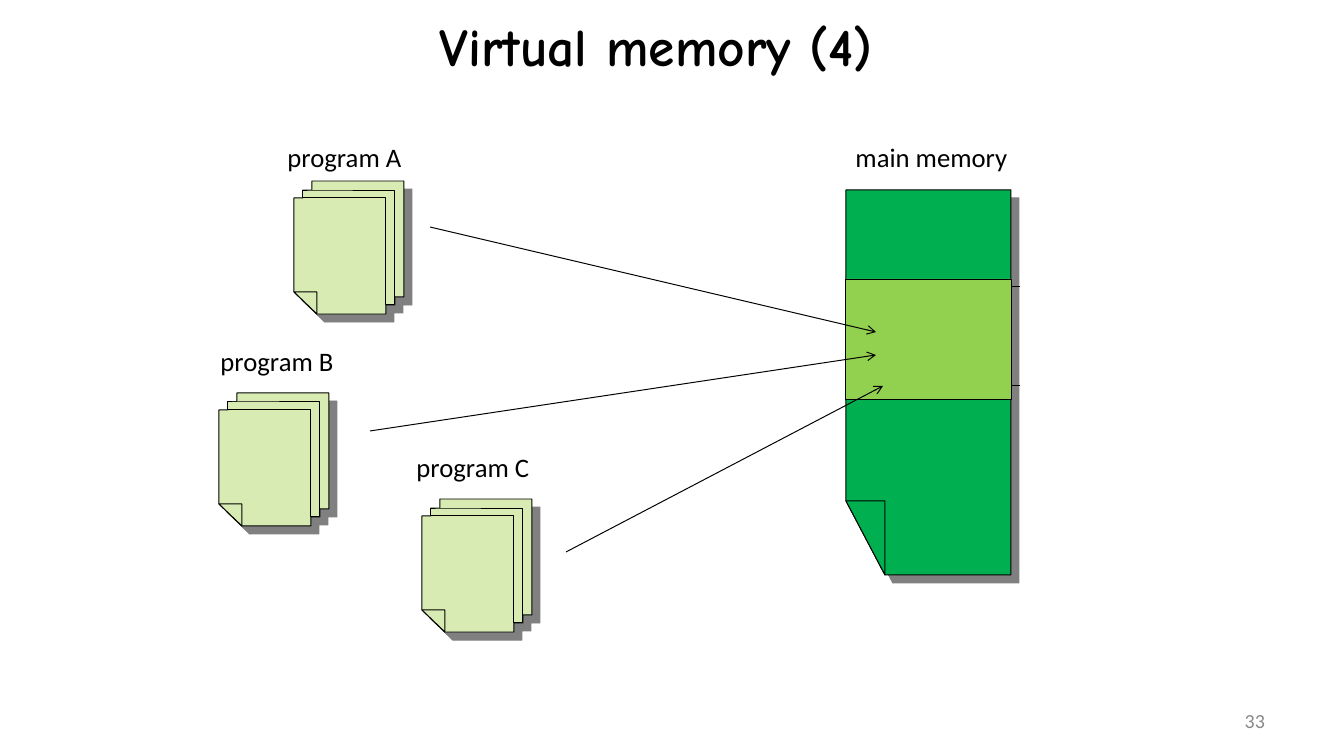
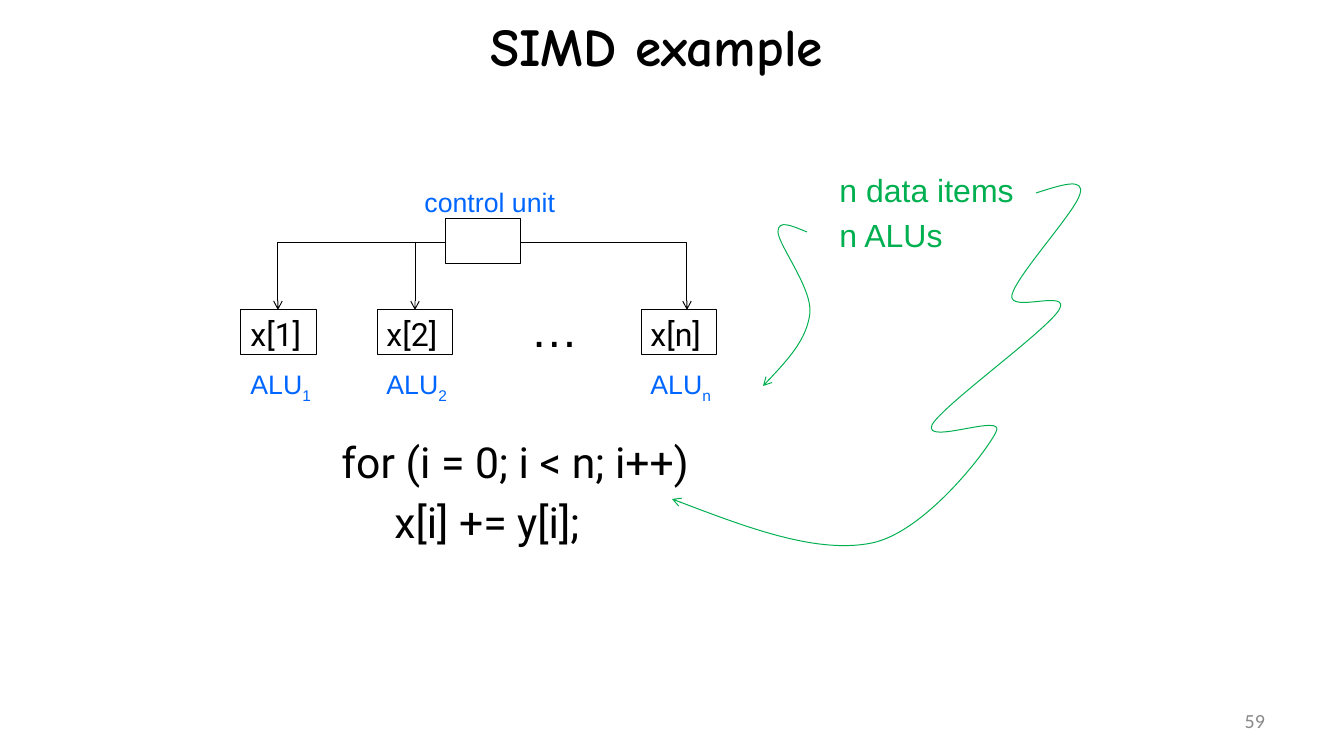
from dataclasses import dataclass

from lxml import etree
from pptx import Presentation
from pptx.dml.color import RGBColor
from pptx.enum.shapes import MSO_CONNECTOR, MSO_SHAPE
from pptx.enum.text import MSO_ANCHOR, MSO_AUTO_SIZE, PP_ALIGN
from pptx.oxml.ns import qn
from pptx.util import Emu, Pt

EMU_PER_PX = 9525
LINE_WIDTH = Pt(0.75)
RECTANGLE = MSO_SHAPE.RECTANGLE
STRAIGHT, ELBOW = MSO_CONNECTOR.STRAIGHT, MSO_CONNECTOR.ELBOW
LEFT, CENTER, RIGHT = PP_ALIGN.LEFT, PP_ALIGN.CENTER, PP_ALIGN.RIGHT
MIDDLE = MSO_ANCHOR.MIDDLE
GROW = MSO_AUTO_SIZE.SHAPE_TO_FIT_TEXT

COLORS = {
    "ink": "000000",
    "number": "898989",
    "page": "D8EBB3",
    "memory": "00B050",
    "resident": "92D050",
    "shadow": "808080",
    "unit": "0066FF",
    "note": "00B050",
}

Point = tuple[int, int]
Contour = list[Point]

PAGE_STACK: list[Contour] = [
    [(0, 111), (0, 17), (9, 17), (9, 9), (18, 9), (18, 0), (110, 0), (110, 116),
     (101, 116), (101, 124), (92, 124), (92, 133), (23, 133)],
    [(18, 9), (101, 9), (101, 124), (92, 124), (92, 17), (9, 17), (9, 9)],
    [(0, 111), (23, 111), (23, 133)],
]
MEMORY_SHEET: list[Contour] = [
    [(0, 311), (0, 0), (165, 0), (165, 385), (39, 385)],
    [(0, 311), (39, 311), (39, 385)],
]


@dataclass
class Label:
    left: int
    top: int
    width: int
    height: int
    lines: list[str]
    size: int = 20
    font: str = "Calibri"
    color: str = "ink"
    subscript: str = ""


@dataclass
class Frame:
    title: str
    number: str


@dataclass
class Program:
    name: str
    stack: Point
    label: Point
    arrow_start: Point
    arrow_end: Point


@dataclass
class Unit:
    index: str
    left: int


def px(length: int) -> Emu:
    return Emu(length * EMU_PER_PX)


def rgb(name: str) -> RGBColor:
    return RGBColor.from_string(COLORS[name])


def style_font(para, size: int, font: str, color: str, bold: bool = False) -> None:
    para.font.size = Pt(size)
    para.font.name = font
    para.font.bold = bold
    para.font.color.rgb = rgb(color)


def add_label(page, label: Label) -> None:
    box = page.shapes.add_textbox(*map(px, (label.left, label.top, label.width, label.height)))
    text = box.text_frame
    text.word_wrap = False
    text.auto_size = GROW
    for position, line in enumerate(label.lines):
        para = text.add_paragraph() if position else text.paragraphs[0]
        if position:
            para.space_before = Pt(label.size * 0.2)
        para.alignment = LEFT
        style_font(para, label.size, label.font, label.color)
        para.add_run().text = line
    if label.subscript:
        span = para.add_run()
        span.text = label.subscript
        span._r.get_or_add_rPr().set("baseline", "-25000")


def add_banner(page, bounds: tuple[int, int, int, int], words: str, align,
               size: int, font: str, color: str, bold: bool = False) -> None:
    text = page.shapes.add_textbox(*map(px, bounds)).text_frame
    text.word_wrap = True
    text.vertical_anchor = MIDDLE
    text.margin_left = text.margin_right = px(12)
    text.margin_top = text.margin_bottom = px(6)
    para = text.paragraphs[0]
    para.alignment = align
    style_font(para, size, font, color, bold)
    para.add_run().text = words


def add_page(deck, frame: Frame):
    page = deck.slides.add_slide(deck.slide_layouts[6])
    add_banner(page, (67, 15, 1179, 60), frame.title, CENTER, 40, "Comic Neue", "ink", True)
    add_banner(page, (963, 701, 314, 40), frame.number, RIGHT, 15, "Calibri", "number")
    return page


def paint(shape, fill: str = "", line: str = "ink") -> None:
    shape.shadow.inherit = False
    if fill:
        shape.fill.solid()
        shape.fill.fore_color.rgb = rgb(fill)
    else:
        shape.fill.background()
    shape.line.color.rgb = rgb(line)
    shape.line.width = LINE_WIDTH


def add_arrowhead(shape) -> None:
    outline = shape._element.spPr.find(qn("a:ln"))
    etree.SubElement(outline, qn("a:tailEnd"), type="arrow")


def add_rectangle(page, left: int, top: int, width: int, height: int, fill: str = "") -> None:
    paint(page.shapes.add_shape(RECTANGLE, *map(px, (left, top, width, height))), fill)


def add_line(page, start: Point, end: Point, arrow: bool = True, kind=STRAIGHT) -> None:
    line = page.shapes.add_connector(kind, *map(px, start + end))
    line.line.color.rgb = rgb("ink")
    line.line.width = LINE_WIDTH
    properties = line._element.spPr
    etree.SubElement(properties, qn("a:effectLst"))
    if kind == ELBOW:
        properties.find(qn("a:prstGeom")).set("prst", "bentConnector2")
    if arrow:
        add_arrowhead(line)


def add_sheet(page, origin: Point, contours: list[Contour], fill: str) -> None:
    left, top = origin
    placed = [[(left + x, top + y) for x, y in contour] for contour in contours]
    builder = page.shapes.build_freeform(*placed[0][0], scale=EMU_PER_PX)
    builder.add_line_segments(placed[0][1:])
    for contour in placed[1:]:
        builder.move_to(*contour[0])
        builder.add_line_segments(contour[1:])
    sheet = builder.convert_to_shape()
    paint(sheet, fill)
    split_contours(sheet)
    effects = sheet._element.spPr.find(qn("a:effectLst"))
    shadow = etree.SubElement(effects, qn("a:outerShdw"), dist=str(Pt(8.5)),
                              dir="2700000", algn="ctr", rotWithShape="0")
    etree.SubElement(shadow, qn("a:srgbClr"), val=COLORS["shadow"])


def split_contours(sheet) -> None:
    outlines = sheet._element.spPr.find(".//" + qn("a:pathLst"))
    combined = outlines[0]
    for step in list(combined):
        if step.tag == qn("a:moveTo"):
            outline = etree.SubElement(outlines, qn("a:path"), dict(combined.attrib))
        outline.append(step)
    outlines.remove(combined)


def add_curve(page, points: Contour, color: str) -> None:
    builder = page.shapes.build_freeform(*points[0], scale=EMU_PER_PX)
    builder.add_line_segments(points[1:], close=False)
    curve = builder.convert_to_shape()
    paint(curve, line=color)
    add_arrowhead(curve)
    segments = list(curve._element.spPr.iter(qn("a:lnTo")))
    for first in range(0, len(segments), 3):
        group = segments[first:first + 3]
        bezier = etree.Element(qn("a:cubicBezTo"))
        group[0].addprevious(bezier)
        for segment in group:
            bezier.append(segment[0])
            segment.getparent().remove(segment)


def draw_virtual_memory(deck) -> None:
    page = add_page(deck, Frame("Virtual memory (4)", "33"))
    programs = [
        Program("program A", (294, 181), (278, 136), (430, 227), (876, 332)),
        Program("program B", (219, 393), (211, 340), (370, 431), (876, 355)),
        Program("program C", (422, 499), (407, 446), (566, 552), (883, 386)),
    ]
    for program in programs:
        add_sheet(page, program.stack, PAGE_STACK, "page")
        add_label(page, Label(*program.label, 145, 42, [program.name]))
    add_sheet(page, (846, 190), MEMORY_SHEET, "memory")
    add_label(page, Label(846, 136, 182, 42, ["main memory"]))
    for height in (287, 386):
        add_line(page, (846, height), (1020, height), arrow=False)
    add_rectangle(page, 846, 279, 166, 121, "resident")
    for program in programs:
        add_line(page, program.arrow_start, program.arrow_end)


def draw_simd(deck) -> None:
    page = add_page(deck, Frame("SIMD example", "59"))
    add_rectangle(page, 445, 219, 76, 45)
    add_label(page, Label(415, 181, 151, 42, ["control unit"], 20, "Arial", "unit"))
    for unit in (Unit("1", 241), Unit("2", 377), Unit("n", 641)):
        add_rectangle(page, unit.left, 310, 76, 45)
        add_label(page, Label(unit.left, 363, 82, 42, ["ALU"], 20, "Arial", "unit", unit.index))
        add_label(page, Label(unit.left, 310, 74, 49, [f"x[{unit.index}]"], 24, "Roboto"))
    add_label(page, Label(521, 295, 68, 68, ["…"], 36, "Arial"))
    code = ["for (i = 0; i < n; i++)", "     x[i] += y[i];"]
    add_label(page, Label(332, 431, 403, 123, code, 32, "Roboto"))
    add_line(page, (445, 242), (278, 310), kind=ELBOW)
    add_line(page, (521, 242), (687, 310), kind=ELBOW)
    add_line(page, (415, 242), (415, 310))
    notes = ["n data items", "n ALUs"]
    add_label(page, Label(830, 166, 194, 95, notes, 24, "Arial", "note"))
    add_curve(page, [(807, 232), (792, 226), (778, 219), (778, 232), (779, 246), (812, 288),
                     (810, 313), (807, 339), (785, 363), (763, 386)], "note")
    add_curve(page, [(1036, 193), (1061, 185), (1085, 177), (1080, 194), (1076, 211),
                     (1016, 276), (1012, 295), (1008, 314), (1072, 288), (1059, 310),
                     (1045, 332), (943, 405), (932, 425), (923, 446), (1007, 412),
                     (996, 432), (987, 451), (925, 532), (872, 543), (818, 554),
                     (745, 527), (672, 499)], "note")


def main() -> None:
    deck = Presentation()
    deck.slide_width, deck.slide_height = px(1344), px(756)
    draw_virtual_memory(deck)
    draw_simd(deck)
    deck.save("out.pptx")


if __name__ == "__main__":
    main()
